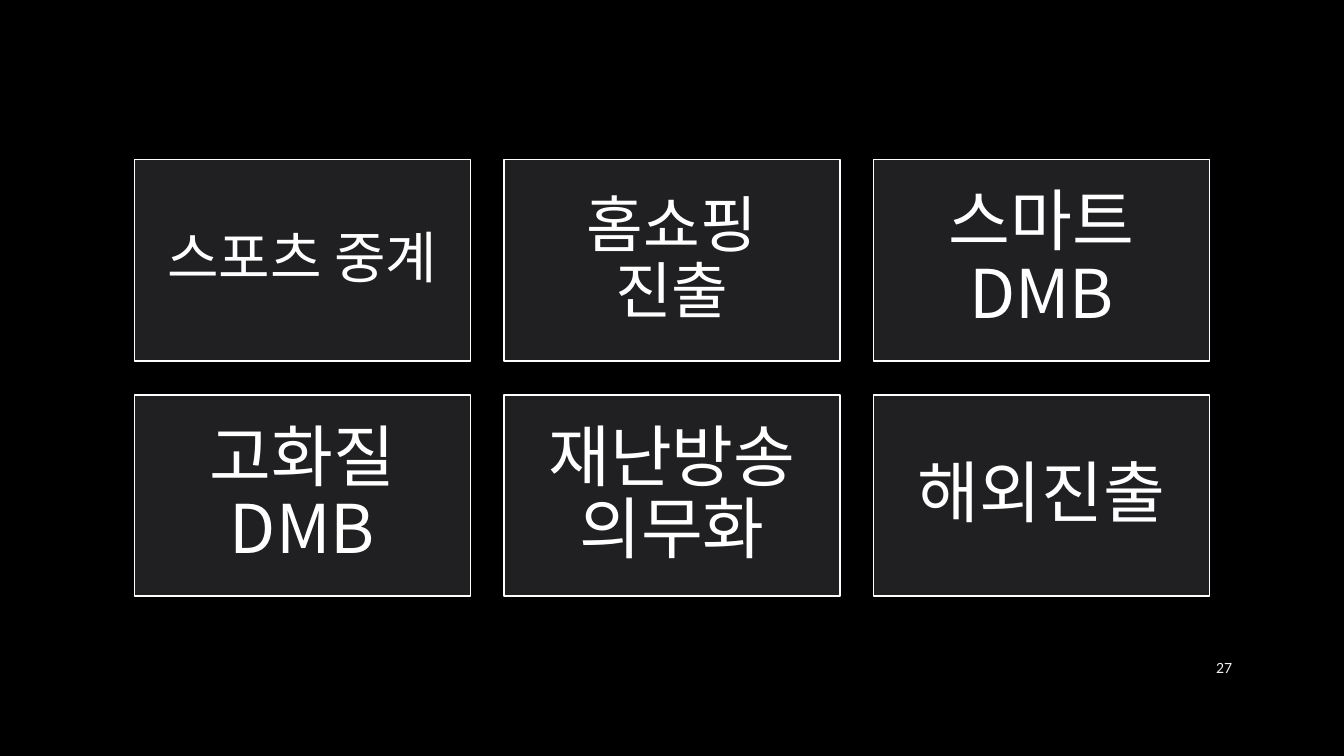
"""Build a slide with a grid of six DMB strategy cards."""
from dataclasses import dataclass

from lxml import etree
from pptx import Presentation
from pptx.dml.color import RGBColor
from pptx.enum.shapes import MSO_SHAPE
from pptx.enum.text import MSO_ANCHOR, PP_ALIGN
from pptx.oxml.ns import qn
from pptx.slide import Slide
from pptx.text.text import _Paragraph
from pptx.util import Pt

RECTANGLE = MSO_SHAPE.RECTANGLE
MIDDLE = MSO_ANCHOR.MIDDLE
CENTER = PP_ALIGN.CENTER
RIGHT = PP_ALIGN.RIGHT

BLACK = RGBColor(0x00, 0x00, 0x00)
CHARCOAL = RGBColor(0x20, 0x20, 0x22)
WHITE = RGBColor(0xFF, 0xFF, 0xFF)
PALE_GRAY = RGBColor(0xF2, 0xF2, 0xF2)

KOREAN_FONT = "Noto Sans CJK KR"
NUMBER_FONT = "Lato"

EMU_PER_PX = 9525
SLIDE_WIDTH, SLIDE_HEIGHT = 1280, 720
GRID_LEFT, GRID_TOP, COLUMNS = 128, 152, 3
CARD_WIDTH, CARD_HEIGHT, GAP = 320, 192, 32
CARD_INSET = 19


@dataclass(frozen=True)
class Card:
    """A strategy and the size of its lettering in points."""

    strategy: str
    size: int


CARDS = (
    Card("스포츠 중계", 40),
    Card("홈쇼핑 진출", 44),
    Card("스마트 DMB", 48),
    Card("고화질 DMB", 48),
    Card("재난방송 의무화", 48),
    Card("해외진출", 48),
)


def px(length: int) -> int:
    """Convert pixels to EMU."""
    return length * EMU_PER_PX


def add_text(paragraph: _Paragraph, text: str, size: int, font: str, color: RGBColor) -> None:
    """Add a run with the same typeface for Latin and Korean letters."""
    run = paragraph.add_run()
    run.text = text
    run.font.size = Pt(size)
    run.font.color.rgb = color
    run.font.name = font
    etree.SubElement(run.font._element, qn("a:ea"), typeface=font)


def draw_card(slide: Slide, card: Card, index: int) -> None:
    """Draw a card in its cell of the grid."""
    row, column = divmod(index, COLUMNS)
    left = GRID_LEFT + column * (CARD_WIDTH + GAP)
    top = GRID_TOP + row * (CARD_HEIGHT + GAP)
    panel = slide.shapes.add_shape(
        RECTANGLE, px(left), px(top), px(CARD_WIDTH), px(CARD_HEIGHT)
    )
    panel.shadow.inherit = False
    panel.fill.solid()
    panel.fill.fore_color.rgb = CHARCOAL
    panel.line.color.rgb = WHITE
    panel.line.width = Pt(1.25)
    frame = panel.text_frame
    frame.word_wrap = True
    frame.vertical_anchor = MIDDLE
    frame.margin_left = frame.margin_right = px(CARD_INSET)
    frame.margin_top = frame.margin_bottom = px(CARD_INSET)
    strategy = frame.paragraphs[0]
    strategy.alignment = CENTER
    strategy.line_spacing = 0.9
    add_text(strategy, card.strategy, card.size, KOREAN_FONT, WHITE)


def draw_page_number(slide: Slide, number: str) -> None:
    """Write the page number at the lower right."""
    footer = slide.shapes.add_textbox(px(1104), px(617), px(79), px(38))
    frame = footer.text_frame
    frame.word_wrap = True
    frame.vertical_anchor = MIDDLE
    frame.paragraphs[0].alignment = RIGHT
    add_text(frame.paragraphs[0], number, 10, NUMBER_FONT, PALE_GRAY)


def main() -> None:
    """Create and save the presentation."""
    deck = Presentation()
    deck.slide_width, deck.slide_height = px(SLIDE_WIDTH), px(SLIDE_HEIGHT)
    slide = deck.slides.add_slide(deck.slide_layouts[6])
    slide.background.fill.solid()
    slide.background.fill.fore_color.rgb = BLACK
    for index, card in enumerate(CARDS):
        draw_card(slide, card, index)
    draw_page_number(slide, "27")
    deck.save("out.pptx")


if __name__ == "__main__":
    main()
